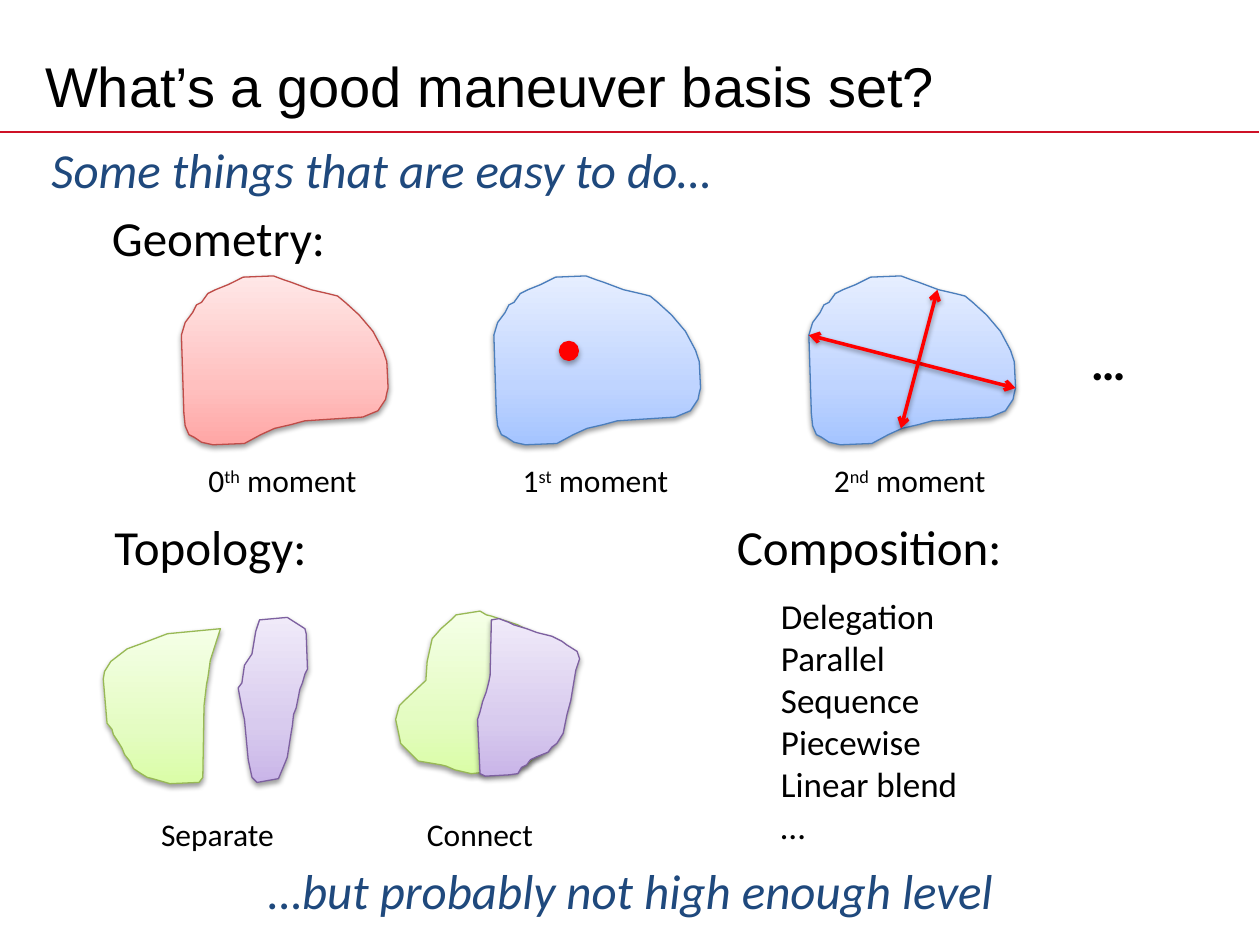
from copy import deepcopy

from lxml import etree
from pptx import Presentation
from pptx.dml.color import RGBColor
from pptx.enum.shapes import MSO_CONNECTOR, MSO_SHAPE
from pptx.enum.text import MSO_ANCHOR, PP_ALIGN
from pptx.oxml.ns import qn
from pptx.util import Inches, Pt

STRAIGHT, OVAL = MSO_CONNECTOR.STRAIGHT, MSO_SHAPE.OVAL
MIDDLE, CENTER = MSO_ANCHOR.MIDDLE, PP_ALIGN.CENTER

COLORS = {"text": "000000", "accent": "1F497D", "rule": "CE1126", "mark": "FF0000"}
# outline, then gradient from the bottom up
PALETTES = {
    "red": ("BF4C48", "FFA6A5", "FFC0BF", "FFE7E7"),
    "blue": ("4B7EBC", "A4C4FF", "BFD4FF", "E6EEFF"),
    "green": ("98B955", "DAFDA7", "E4FCC2", "F5FFE7"),
    "purple": ("7D60A0", "C9B5E8", "D8CBEE", "F0EAF9"),
}
STOPS = (0, 0.35, 1)

# Outlines in hundredths of an inch from the top left of each shape
MOMENT = [
    (152, 44), (141, 31), (130, 21), (124, 16), (116, 14), (103, 11), (87, 5), (81, 3),
    (73, 0), (49, 1), (41, 5), (37, 7), (32, 9), (27, 11), (21, 14), (16, 21), (12, 23),
    (9, 29), (3, 37), (0, 47), (2, 109), (3, 119), (6, 126), (10, 128), (16, 132),
    (25, 134), (50, 133), (63, 126), (74, 121), (87, 118), (98, 115), (144, 112),
    (156, 107), (162, 98), (163, 93), (164, 89), (163, 68), (160, 59)]
SEPARATE_LEFT = [
    (93, 0), (51, 4), (30, 12), (19, 16), (6, 26), (1, 34), (0, 40), (3, 75), (7, 80),
    (8, 84), (12, 90), (15, 95), (17, 100), (21, 105), (24, 111), (30, 115), (35, 118),
    (39, 119), (53, 123), (76, 122), (79, 118), (80, 61), (82, 44), (83, 39), (85, 25)]
SEPARATE_RIGHT = [
    (14, 12), (11, 30), (5, 39), (3, 53), (0, 57), (3, 73), (5, 82), (8, 114), (11, 128),
    (15, 132), (32, 129), (37, 117), (39, 112), (42, 93), (43, 87), (44, 78), (46, 73),
    (49, 58), (51, 53), (53, 46), (55, 42), (54, 14), (53, 10), (39, 1), (17, 3)]
CONNECT_LEFT = [
    (143, 36), (118, 21), (98, 11), (77, 4), (73, 3), (68, 0), (49, 3), (45, 7), (37, 14),
    (30, 22), (26, 40), (25, 55), (8, 71), (4, 75), (1, 86), (4, 100), (5, 105),
    (11, 111), (19, 119), (37, 122), (41, 123), (48, 126), (61, 129), (80, 127),
    (86, 126), (97, 125), (106, 121), (111, 116), (115, 114), (119, 109), (123, 107),
    (131, 96), (134, 80), (136, 76), (137, 71), (138, 66)]
CONNECT_RIGHT = [
    (11, 7), (10, 51), (9, 56), (7, 64), (4, 72), (3, 76), (2, 80), (0, 86), (2, 129),
    (6, 131), (25, 130), (32, 129), (35, 124), (39, 122), (42, 118), (46, 116),
    (56, 112), (59, 108), (63, 105), (68, 97), (71, 82), (74, 71), (75, 65), (78, 47),
    (81, 38), (79, 32), (71, 27), (67, 24), (63, 22), (59, 20), (47, 17), (39, 14),
    (29, 11), (25, 9), (17, 6)]


def rgb(name):
    return RGBColor.from_string(COLORS.get(name, name))


def add_shadow(sp, opacity=38):
    """Replace any inherited effect; an opacity of 0 leaves no shadow."""
    effects = etree.SubElement(sp._element.spPr, qn("a:effectLst"))
    if opacity:
        shadow = etree.SubElement(effects, qn("a:outerShdw"), blurRad=str(Pt(3.1)),
                                  dist=str(Pt(1.6)), dir="5400000", rotWithShape="0")
        color = etree.SubElement(shadow, qn("a:srgbClr"), val="000000")
        etree.SubElement(color, qn("a:alpha"), val=str(opacity * 1000))


def add_text(s, x, y, w, h, lines, size=28, color="text", font="Calibri", wrap=False):
    sp = s.shapes.add_textbox(Inches(x), Inches(y), Inches(w), Inches(h))
    tf = sp.text_frame
    tf.word_wrap = wrap
    for i, line in enumerate(lines):
        p = tf.paragraphs[0] if i == 0 else tf.add_paragraph()
        for part in line if isinstance(line, tuple) else (line,):
            r = p.add_run()
            r.text = part
            r.font.name, r.font.size = font, Pt(size)
            r.font.color.rgb = rgb(color)
    return tf


def add_line(s, start, end, color, width, arrows=False):
    line = s.shapes.add_connector(STRAIGHT, *(Inches(v) for v in start + end))
    line.line.color.rgb = rgb(color)
    line.line.width = Pt(width)
    if arrows:
        ln = line._element.spPr.find(qn("a:ln"))
        for tag in ("a:headEnd", "a:tailEnd"):
            etree.SubElement(ln, qn(tag), type="arrow")
    add_shadow(line, 38 if arrows else 0)


def add_blob(s, x, y, points, palette):
    builder = s.shapes.build_freeform(*points[0], scale=Inches(0.01))
    builder.add_line_segments(points[1:], close=True)
    sp = builder.convert_to_shape(Inches(x), Inches(y))
    outline, *colors = PALETTES[palette]
    sp.fill.gradient()
    sp.fill.gradient_angle = 90
    stops = sp._element.spPr.find(".//" + qn("a:gsLst"))
    stops.append(deepcopy(stops[0]))
    for stop, position, color in zip(sp.fill.gradient_stops, STOPS, colors):
        stop.position = position
        stop.color.rgb = rgb(color)
    sp.line.color.rgb = rgb(outline)
    sp.line.width = Pt(0.75)
    add_shadow(sp)


def add_header(s, x, y):
    tf = add_text(s, x, y, 9, 0.75, ["What’s a good maneuver basis set?"], 32,
                  font="Arial", wrap=True)
    tf.vertical_anchor = MIDDLE
    add_line(s, (0, y + 0.75), (9.99, y + 0.75), "rule", 1)


def add_remark(s, x, y, w, text, wrap=False):
    p = add_text(s, x, y, w, 0.57, [text], color="accent", wrap=wrap).paragraphs[0]
    p.runs[0].font.italic = True
    return p


def add_moment(s, x, y, palette, label, label_w):
    add_blob(s, x, y, MOMENT, palette)
    tf = add_text(s, x + 0.82 - label_w / 2, y + 1.42, label_w, 0.4, [label], 18)
    tf.paragraphs[0].runs[1]._r.get_or_add_rPr().set("baseline", "30000")


def add_geometry(s, x, y):
    add_text(s, x, y, 1.91, 0.57, ["Geometry:"])
    top = y + 0.59
    zeroth, first, second = x + 0.65, x + 3.13, x + 5.63
    add_moment(s, zeroth, top, "red", ("0", "th", " moment"), 1.41)
    add_moment(s, first, top, "blue", ("1", "st", " moment"), 1.38)
    add_moment(s, second, top, "blue", ("2", "nd", " moment"), 1.44)

    centroid = s.shapes.add_shape(OVAL, Inches(first + 0.52), Inches(top + 0.52),
                                  Inches(0.15), Inches(0.15))
    centroid.fill.solid()
    centroid.fill.fore_color.rgb = rgb("mark")
    centroid.line.color.rgb = rgb("mark")
    centroid.line.width = Pt(0.75)
    add_shadow(centroid, 35)

    for x1, y1, x2, y2 in ((0, 0.47, 1.64, 0.89), (0.73, 1.21, 1.02, 0.11)):
        add_line(s, (second + x1, top + y1), (second + x2, top + y2), "mark", 2, True)
    tf = add_text(s, x + 7.77, y + 0.98, 0.48, 0.57, ["…"])
    tf.paragraphs[0].runs[0].font.bold = True


def add_topology(s, x, y):
    add_text(s, x, y, 1.74, 0.57, ["Topology:"])
    for dx, dy, points, palette in (
            (0.01, 0.94, SEPARATE_LEFT, "green"), (1.08, 0.84, SEPARATE_RIGHT, "purple"),
            (2.32, 0.8, CONNECT_LEFT, "green"), (2.98, 0.8, CONNECT_RIGHT, "purple")):
        add_blob(s, x + dx, y + dy, points, palette)
    for dx, w, label in ((0.37, 1.11, "Separate"), (2.48, 1.06, "Connect")):
        add_text(s, x + dx, y + 2.37, w, 0.4, [label], 18)


def add_composition(s, x, y):
    add_text(s, x, y, 2.33, 0.57, ["Composition:"])
    add_text(s, x + 0.35, y + 0.62, 2.54, 2.12,
             ["Delegation", "Parallel", "Sequence", "Piecewise", "Linear blend", "…"],
             20, wrap=True)


def main():
    prs = Presentation()
    prs.slide_width, prs.slide_height = Inches(10), Inches(7.5)
    s = prs.slides.add_slide(prs.slide_layouts[6])
    add_header(s, 0.26, 0.3)
    add_remark(s, 0.31, 1.06, 5.59, "Some things that are easy to do…")
    add_geometry(s, 0.79, 1.6)
    add_topology(s, 0.81, 4.05)
    add_composition(s, 5.75, 4.05)
    closing = add_remark(s, 0.85, 6.78, 8.31, "…but probably not high enough level", True)
    closing.alignment = CENTER
    prs.save("out.pptx")


if __name__ == "__main__":
    main()
